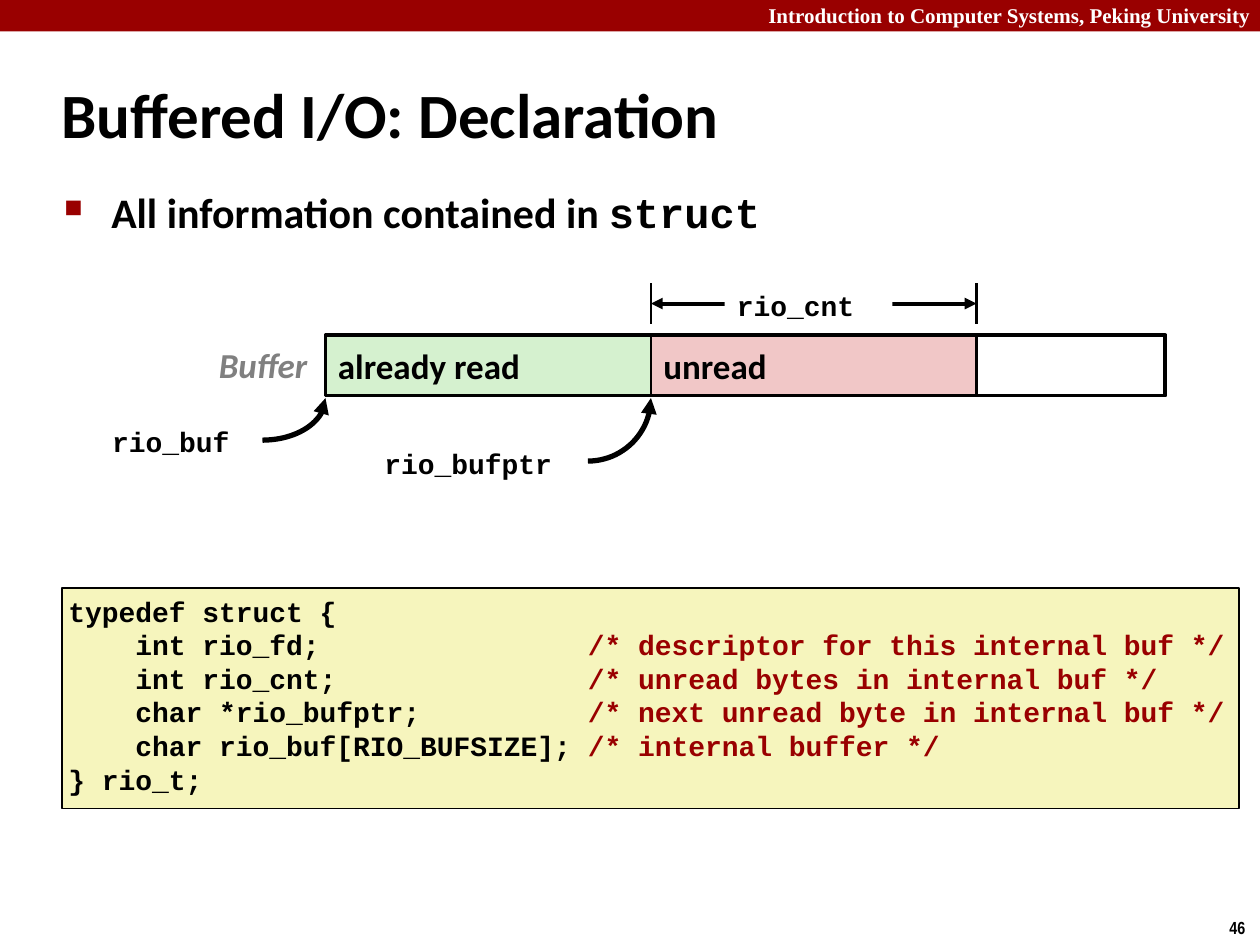
from math import cos, pi, sin

from lxml.etree import SubElement
from pptx import Presentation
from pptx.dml.color import RGBColor
from pptx.enum.shapes import MSO_CONNECTOR, MSO_SHAPE
from pptx.enum.text import MSO_ANCHOR as Anchor, MSO_AUTO_SIZE as AutoSize, PP_ALIGN as Align
from pptx.oxml.ns import qn
from pptx.util import Pt

COLORS = {
    "black": "000000", "white": "FFFFFF", "red": "990000", "gray": "808080",
    "code": "F6F5BD", "read": "D5F1CF", "unread": "F1C7C7",
}
COLORS = {name: RGBColor.from_string(value) for name, value in COLORS.items()}


def add_box(place, text="", size=16, font="Courier New", color="black",
            fill=None, line=None, wrap=True, anchor=Anchor.TOP):
    """Add a rectangle, or a text box when it has neither fill nor line."""
    place = [Pt(length) for length in place]
    if fill or line:
        box = page.shapes.add_shape(MSO_SHAPE.RECTANGLE, *place)
        box.shadow.inherit = False
        if fill:
            box.fill.solid()
            box.fill.fore_color.rgb = COLORS[fill]
        else:
            box.fill.background()
        if line:
            box.line.color.rgb = COLORS["black"]
            box.line.width = Pt(line)
        else:
            box.line.fill.background()
    else:
        box = page.shapes.add_textbox(*place)
    frame = box.text_frame
    frame.word_wrap = wrap
    frame.vertical_anchor = anchor
    frame.text = text
    for para in frame.paragraphs:
        para.alignment = Align.LEFT
        para.font.name = font
        para.font.size = Pt(size)
        para.font.bold = True
        para.font.color.rgb = COLORS[color]
    return box


def style_line(shape, width, *ends):
    """Draw a black line with arrowheads at the given ends."""
    shape.line.color.rgb = COLORS["black"]
    shape.line.width = Pt(width)
    for end in ends:
        SubElement(shape.line._get_or_add_ln(), qn(f"a:{end}"), type="triangle")
    if shape._element.spPr.find(qn("a:effectLst")) is None:
        SubElement(shape._element.spPr, qn("a:effectLst"))


deck = Presentation()
deck.slide_width, deck.slide_height = Pt(720), Pt(540)
page = deck.slides.add_slide(deck.slide_layouts[5])

# Header band and page number
add_box((0, 0, 720, 18), fill="red")
add_box((432, -2, 293, 21.6), "Introduction to Computer Systems, Peking University",
        12, "Times New Roman", "white")
add_box((695.5, 520.5, 24.5, 19.5), "46", 10, "Arial Narrow", wrap=False)

# Title
title = page.shapes.title
title.left, title.top, title.width, title.height = Pt(28), Pt(34.5), Pt(598), Pt(60)
title.text_frame.text = "Buffered I/O: Declaration"
title.text_frame.auto_size = AutoSize.NONE
title.text_frame.vertical_anchor = Anchor.MIDDLE
para = title.text_frame.paragraphs[0]
para.alignment = Align.LEFT
para.font.name = "Calibri"
para.font.size = Pt(36)
para.font.bold = True
para.font.color.rgb = COLORS["black"]

# Bullet
bullet = add_box((29.5, 103, 654.5, 47.5), "All information contained in ", 24, "Calibri")
para = bullet.text_frame.paragraphs[0]
span = para.add_run()
span.text = "struct"
span.font.name = "Courier New"
props = para._p.get_or_add_pPr()
props.set("marL", str(Pt(27)))
props.set("indent", str(-Pt(27)))
marker = [SubElement(props, qn(f"a:{tag}")) for tag in ("buClr", "buSzPct", "buChar")]
SubElement(marker[0], qn("a:srgbClr"), val=str(COLORS["red"]))
marker[1].set("val", "60000")
marker[2].set("char", "■")
props.append(props.find(qn("a:defRPr")))  # default run properties follow the bullet

# Struct declaration
code_lines = [
    ("typedef struct {", ""),
    ("    int rio_fd;", "/* descriptor for this internal buf */"),
    ("    int rio_cnt;", "/* unread bytes in internal buf */"),
    ("    char *rio_bufptr;", "/* next unread byte in internal buf */"),
    ("    char rio_buf[RIO_BUFSIZE];", "/* internal buffer */"),
    ("} rio_t;", ""),
]
comment_column = 31
code_text = "\n".join(code.ljust(comment_column) if comment else code
                      for code, comment in code_lines)
code_box = add_box((35.5, 336, 672.5, 126), code_text, fill="code", line=1)
frame = code_box.text_frame
frame.margin_left = frame.margin_right = frame.margin_top = frame.margin_bottom = Pt(3.6)
for para, (code, comment) in zip(frame.paragraphs, code_lines):
    if comment:
        span = para.add_run()
        span.text = comment
        span.font.color.rgb = COLORS["red"]

# Buffer with its read and unread parts
left, top, part, height = 186, 191.5, 186, 34.5
middle, right = left + part, left + 2 * part
for x, label, fill in ((middle, "unread", "unread"), (left, "already read", "read")):
    add_box((x, top, part, height), label, 20, "Calibri", fill=fill, line=1.5,
            anchor=Anchor.MIDDLE)
add_box((left, top, 480, height), line=2.25)
buffer_label = add_box((118, 193, 67, 31.5), "Buffer", 20, "Calibri", "gray", wrap=False)
buffer_label.text_frame.paragraphs[0].font.italic = True

# Pointers: quarter ellipses that start at the arrowhead
steps = 24
for x, y, width, drop in ((left, 227.5, 36, 24), (middle, 227.5, 36, 36)):
    points = [(Pt(x - width + width * cos(angle)), Pt(y + drop * sin(angle)))
              for angle in (pi / 2 * step / steps for step in range(steps + 1))]
    builder = page.shapes.build_freeform(*points[0])
    builder.add_line_segments(points[1:], close=False)
    curve = builder.convert_to_shape()
    curve.fill.background()
    style_line(curve, 3, "headEnd")
add_box((57, 239, 82, 24.5), "rio_buf")
add_box((212.5, 251.5, 126, 24.5), "rio_bufptr")

# Extent of the unread part
for x1, y1, x2, y2, width, ends in (
    (middle, 185, middle, 161.5, 1.5, ()),
    (right, 185, right, 161.5, 1.5, ()),
    (middle, 173.5, right, 173.5, 2.25, ("headEnd", "tailEnd")),
):
    line = page.shapes.add_connector(MSO_CONNECTOR.STRAIGHT, Pt(x1), Pt(y1), Pt(x2), Pt(y2))
    style_line(line, width, *ends)
add_box((414, 161.5, 96, 24.5), "rio_cnt", fill="white")

deck.save("out.pptx")
